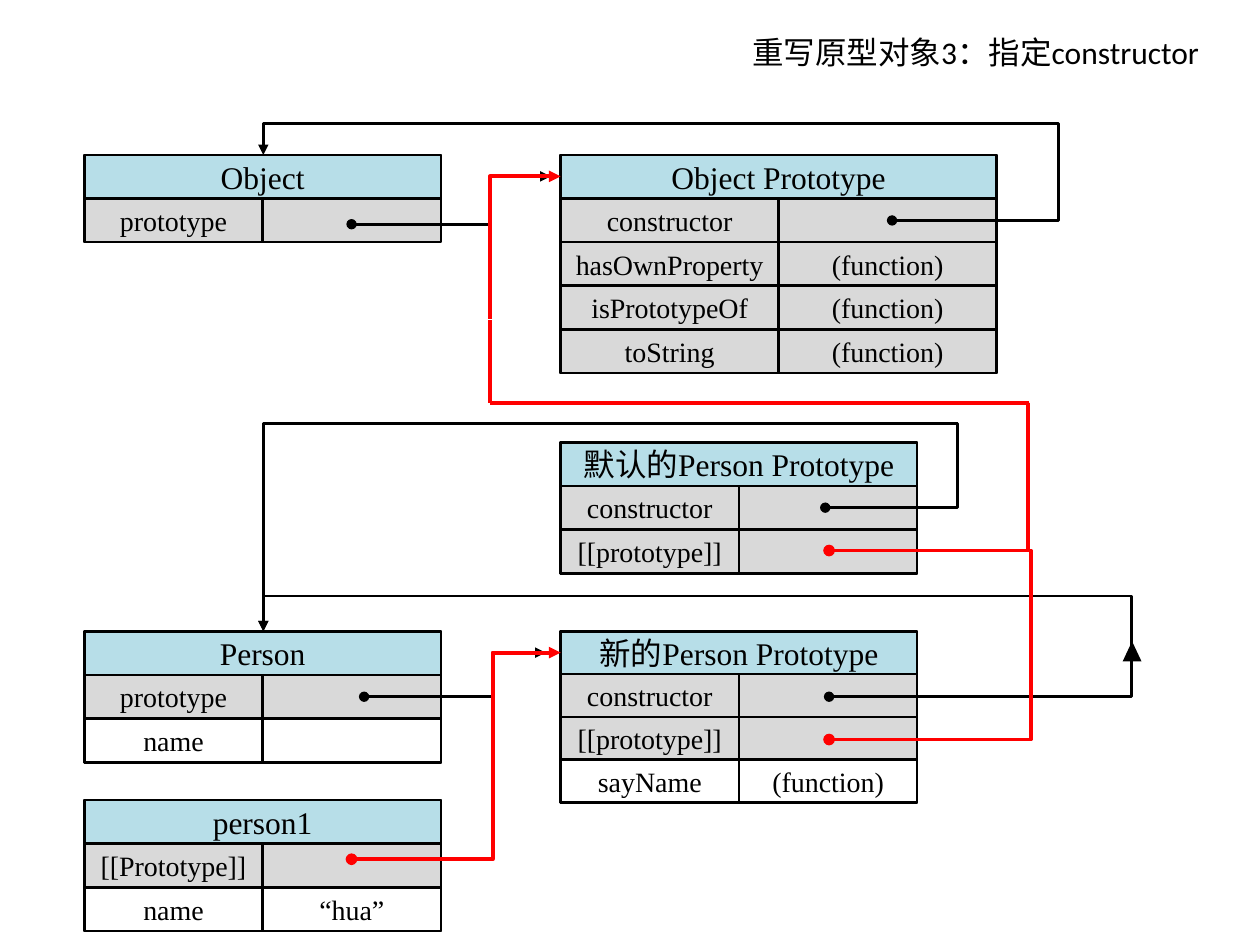
import dataclasses

import lxml.etree
import pptx
import pptx.dml.color
import pptx.enum.shapes
import pptx.enum.text
import pptx.oxml.ns
import pptx.util

Inches = pptx.util.Inches
Shape = pptx.enum.shapes.MSO_SHAPE
Align = pptx.enum.text.PP_ALIGN
Anchor = pptx.enum.text.MSO_ANCHOR
Fit = pptx.enum.text.MSO_AUTO_SIZE
qn = pptx.oxml.ns.qn


@dataclasses.dataclass(frozen=True)
class Theme:
    """Colours, fonts and sizes of the slide."""
    ink: str = "000000"
    red: str = "FF0000"
    head: str = "B7DEE8"
    gray: str = "D9D9D9"
    white: str = "FFFFFF"
    sans: str = "Calibri"
    serif: str = "Times New Roman"
    large: int = 18
    small: int = 16
    thin: float = 1.5
    thick: float = 2.25


LOOK = Theme()


def tint(code):
    """Turn a hex code into a colour."""
    return pptx.dml.color.RGBColor.from_string(code)


def write(frame, text, font, size, align):
    """Put one run of text in a frame."""
    para = frame.paragraphs[0]
    para.alignment = align
    run = para.add_run()
    run.text = text
    run.font.name = font
    run.font.size = pptx.util.Pt(size)
    run.font.color.rgb = tint(LOOK.ink)


def title(slide, box, text):
    """Place the title in its box."""
    item = slide.shapes.title
    item.left, item.top, item.width, item.height = map(Inches, box)
    frame = item.text_frame
    frame.word_wrap = True
    frame.auto_size = Fit.SHAPE_TO_FIT_TEXT
    frame.vertical_anchor = Anchor.TOP
    write(frame, text, LOOK.sans, LOOK.large, Align.LEFT)


def cell(slide, box, fill, text="", size=LOOK.small):
    """Draw one bordered box with centred text."""
    item = slide.shapes.add_shape(Shape.RECTANGLE, *map(Inches, box))
    item.shadow.inherit = False
    item.fill.solid()
    item.fill.fore_color.rgb = tint(fill)
    item.line.color.rgb = tint(LOOK.ink)
    item.line.width = pptx.util.Pt(LOOK.thin)
    if text:
        frame = item.text_frame
        frame.word_wrap = True
        frame.vertical_anchor = Anchor.MIDDLE
        write(frame, text, LOOK.serif, size, Align.CENTER)


def record(slide, box, name, rows):
    """Draw an object box with a header and rows of key, value and fill."""
    left, top, width, height = box
    step = height / (len(rows) + 1)
    half = width / 2
    cell(slide, box, LOOK.gray)
    cell(slide, (left, top, width, step), LOOK.head, name, LOOK.large)
    for num, (key, value, fill) in enumerate(rows, 1):
        y = top + num * step
        cell(slide, (left, y, half, step), fill, key)
        if value is not None:
            cell(slide, (left + half, y, half, step), fill, value)


def wire(slide, points, color, width, head=None, tail=None):
    """Join points by one connector, working out its bends."""
    (x1, y1), (x2, y2) = points[0], points[-1]
    kinds = pptx.enum.shapes.MSO_CONNECTOR
    bends = len(points) - 1
    kind = kinds.ELBOW if bends > 1 else kinds.STRAIGHT
    item = slide.shapes.add_connector(kind, *map(Inches, (x1, y1, x2, y2)))
    item.line.color.rgb = tint(color)
    item.line.width = pptx.util.Pt(width)
    props = item._element.spPr
    if bends > 1:
        geom = props.find(qn("a:prstGeom"))
        geom.set("prst", f"bentConnector{bends}")
        ratios = [(points[1][0] - x1) / (x2 - x1), (points[2][1] - y1) / (y2 - y1)]
        for num, ratio in enumerate(ratios[:bends - 2], 1):
            name = f"adj{num}" 
            lxml.etree.SubElement(geom.find(qn("a:avLst")), qn("a:gd"),
                                  name=name, fmla=f"val {round(ratio * 100000)}")
    line = props.find(qn("a:ln"))
    for tag, mark in (("a:headEnd", head), ("a:tailEnd", tail)):
        if mark:
            lxml.etree.SubElement(line, qn(tag), type=mark)
    lxml.etree.SubElement(props, qn("a:effectLst"))


def links(slide, box):
    """Draw all links and the up mark inside a box."""
    left, top = box[:2]
    dot, tip = "oval", "triangle"
    thin, thick = (LOOK.ink, LOOK.thin), (LOOK.red, LOOK.thick)
    plan = [
        ([(2.89, 5.53), (3.91, 5.53), (3.91, 5.18), (4.33, 5.18)], thin, dot, tip),
        ([(2.79, 1.78), (3.89, 1.78), (3.89, 1.4), (4.37, 1.4)], thin, dot, tip),
        ([(3.89, 2.54), (3.89, 3.2)], thick, None, None),
        ([(4.45, 1.4), (3.89, 1.4), (3.89, 2.53)], thick, tip, None),
        ([(7.08, 1.75), (8.4, 1.75), (8.4, 0.98), (2.09, 0.98), (2.09, 1.23)], thin, dot, tip),
        ([(6.58, 5.53), (8.98, 5.53), (8.98, 4.73), (2.09, 4.73), (2.09, 5.01)], thin, dot, tip),
        ([(6.58, 4.37), (8.16, 4.37), (8.16, 3.2), (8.17, 3.2)], thick, dot, None),
        ([(3.89, 3.2), (8.17, 3.2)], thick, None, None),
        ([(7.6, 3.36), (2.09, 3.36), (2.09, 5.01)], thin, None, tip),
        ([(6.58, 5.87), (8.18, 5.87), (8.18, 4.37), (8.17, 4.37)], thick, dot, None),
        ([(2.79, 6.82), (3.91, 6.82), (3.91, 5.18), (4.45, 5.18)], thick, dot, tip),
        ([(6.55, 4.03), (7.6, 4.03), (7.6, 3.36), (7.6, 3.36)], thin, dot, None),
    ]
    plan[-1][0][-1] = (7.59, 3.36)
    for points, style, head, tail in plan:
        wire(slide, [(left + x, top + y) for x, y in points], *style, head, tail)
    mark = slide.shapes.add_shape(Shape.ISOSCELES_TRIANGLE, Inches(left + 8.91),
                                  Inches(top + 5.09), Inches(0.15), Inches(0.16))
    mark.shadow.inherit = False
    mark.fill.solid()
    mark.fill.fore_color.rgb = tint(LOOK.ink)
    mark.line.fill.background()


def main():
    """Build the slide and save it."""
    deck = pptx.Presentation()
    deck.slide_width, deck.slide_height = Inches(10), Inches(7.5)
    slide = deck.slides.add_slide(deck.slide_layouts[5])
    title(slide, (5.87, 0.21, 3.76, 0.4), "重写原型对象3：指定constructor")
    gray, white, func = LOOK.gray, LOOK.white, "(function)"
    maker = ("constructor", None, gray)
    proto = ("[[prototype]]", "", gray)
    own = ("prototype", None, gray)
    record(slide, (0.67, 5.01, 2.83, 1.04), "Person", [own, ("name", "", white)])
    record(slide, (0.67, 1.23, 2.83, 0.69), "Object", [own])
    record(slide, (0.67, 6.35, 2.83, 1.04), "person1",
           [("[[Prototype]]", None, gray), ("name", "“hua”", white)])
    record(slide, (4.45, 5.01, 2.83, 1.36), "新的Person Prototype",
           [maker, proto, ("sayName", func, white)])
    record(slide, (4.45, 1.23, 3.46, 1.73), "Object Prototype",
           [maker] + [(key, func, gray)
                      for key in ("hasOwnProperty", "isPrototypeOf", "toString")])
    record(slide, (4.45, 3.51, 2.83, 1.04), "默认的Person Prototype", [maker, proto])
    links(slide, (0, 0, 10, 7.5))
    deck.save("out.pptx")


main()
